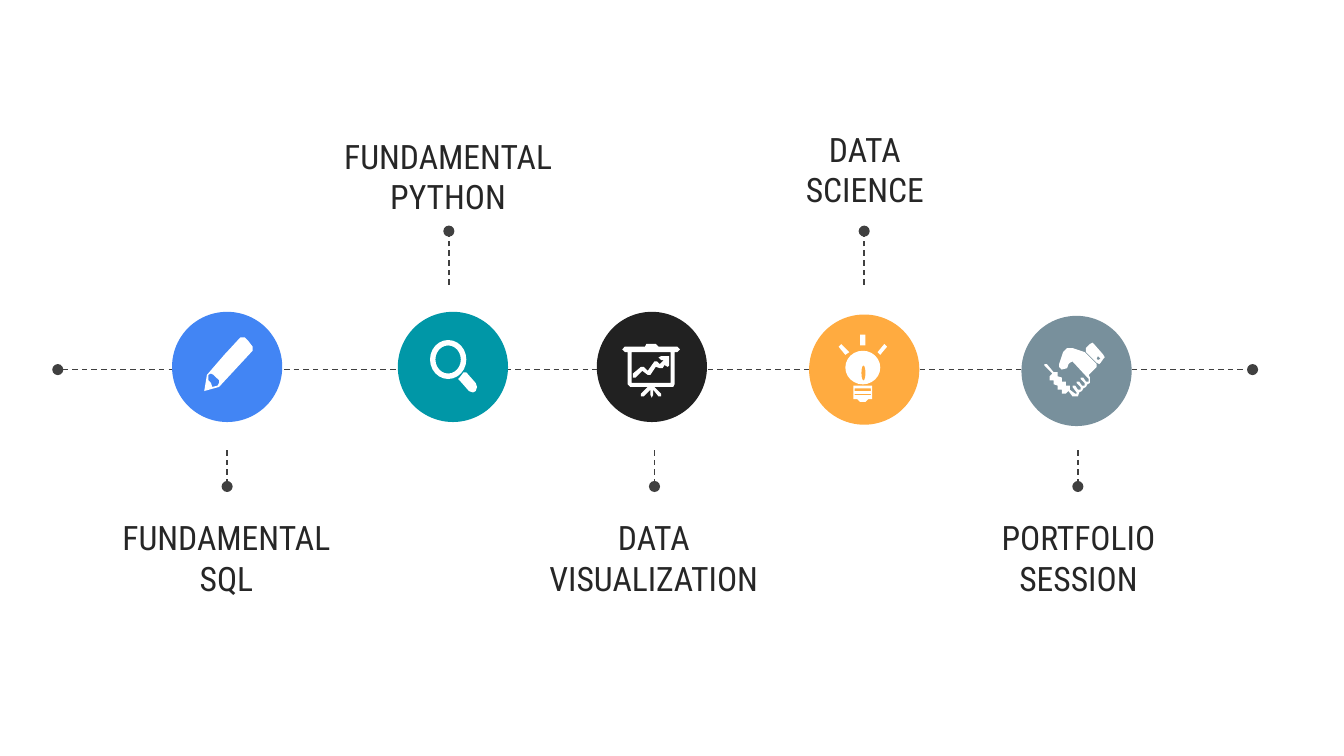
"""Build a five-step learning timeline slide with icon badges."""
from lxml.etree import SubElement
from pptx import Presentation
from pptx.dml.color import RGBColor
from pptx.enum.dml import MSO_LINE
from pptx.enum.shapes import MSO_CONNECTOR, MSO_SHAPE
from pptx.enum.text import MSO_AUTO_SIZE, PP_ALIGN
from pptx.oxml.ns import qn
from pptx.util import Inches, Pt

COLORS = {
    "blue": "4285F4", "teal": "0097A7", "black": "212121", "orange": "FFAB40",
    "slate": "78909C", "white": "FFFFFF", "line": "404040", "text": "262626",
}

STEPS = [
    ("FUNDAMENTAL", "SQL", "blue", 1.28, 2.32, 1.69, 0.32, 3.8),
    ("FUNDAMENTAL", "PYTHON", "teal", 2.96, 2.32, 3.34, 1.97, 0.96),
    ("DATA", "VISUALIZATION", "black", 4.44, 2.32, 4.87, 3.5, 3.8),
    ("DATA", "SCIENCE", "orange", 6.02, 2.34, 6.43, 5.07, 0.91),
    ("PORTFOLIO", "SESSION", "slate", 7.6, 2.35, 8.02, 6.66, 3.8),
]

PENCIL = [
    [(179, 251), (182, 251), (185, 254), (188, 258), (188, 261), (163, 288),
     (152, 291), (154, 279), (167, 264)],
    [(162, 287), (158, 288), (157, 285), (155, 283), (155, 279), (157, 278),
     (159, 279), (161, 281), (163, 283), (163, 285)],
]
HANDLE = [
    [(352, 292), (354, 291), (355, 288), (354, 285), (347, 277), (345, 277),
     (342, 281), (341, 282), (342, 283), (349, 291)],
]
BOARD = [
    [(504, 258), (490, 258), (488, 256), (481, 256), (480, 258), (465, 258),
     (463, 260), (465, 262), (467, 262), (467, 286), (469, 288), (482, 288),
     (477, 293), (477, 295), (479, 295), (484, 290), (484, 294), (485, 296),
     (486, 294), (486, 290), (490, 295), (492, 295), (492, 293), (487, 288),
     (501, 288), (502, 286), (502, 262), (504, 262), (506, 260)],
    [(499, 285), (470, 285), (470, 262), (499, 262)],
]
TREND = [
    [(472, 281), (473, 281), (478, 276), (482, 279), (484, 279), (488, 273),
     (491, 274), (493, 274), (495, 271), (495, 272), (497, 273), (498, 272),
     (498, 265), (492, 265), (490, 266), (492, 268), (494, 268), (491, 271),
     (489, 269), (487, 269), (482, 276), (479, 273), (477, 273), (471, 278),
     (471, 281)],
]
SOCKET = [
    [(635, 287), (649, 287), (649, 297), (646, 297), (644, 299), (640, 299),
     (638, 297), (635, 297)],
    [(636, 289), (648, 289), (648, 291), (636, 291)],
    [(636, 293), (648, 293), (648, 294), (636, 294)],
]
RAYS = [
    [(640, 249), (644, 249), (644, 257), (640, 257)],
    [(624, 258), (626, 256), (632, 262), (629, 264)],
    [(653, 262), (658, 256), (660, 258), (655, 264)],
]
HANDS = [
    [(807, 262), (798, 259), (794, 259), (791, 262), (788, 271), (788, 273),
     (790, 275), (794, 274), (795, 271), (796, 270), (798, 269), (810, 282),
     (810, 284), (808, 284), (806, 281), (804, 281), (804, 282), (807, 285),
     (807, 287), (805, 287), (803, 284), (801, 284), (801, 285), (804, 288),
     (804, 290), (802, 290), (800, 287), (798, 287), (798, 288), (801, 292),
     (801, 293), (800, 293), (796, 290), (796, 287), (793, 287), (793, 284),
     (790, 284), (790, 281), (787, 280), (787, 277), (784, 277), (779, 271),
     (777, 271), (777, 272), (783, 278), (781, 280), (781, 283), (784, 283),
     (784, 286), (787, 287), (787, 290), (790, 290), (790, 293), (793, 293),
     (795, 291), (798, 295), (802, 295), (803, 292), (805, 291), (806, 289),
     (808, 288), (809, 286), (811, 285), (811, 281), (810, 279), (816, 273),
     (816, 271)],
]
CUFF = [
    [(821, 264), (814, 256), (813, 255), (811, 256), (808, 259), (808, 262),
     (816, 270), (818, 271), (819, 270), (821, 267), (822, 266)],
    [(817, 268), (816, 267), (817, 265), (819, 267)],
]
OUTLINES = {
    "blue": [PENCIL], "teal": [HANDLE], "black": [BOARD, TREND],
    "orange": [SOCKET, RAYS], "slate": [HANDS, CUFF],
}
OVALS = {
    "teal": [(MSO_SHAPE.DONUT, 3.2, 2.53, 0.27, 0.29, "white")],
    "orange": [(MSO_SHAPE.OVAL, 6.29, 2.61, 0.26, 0.25, "white"),
               (MSO_SHAPE.OVAL, 6.41, 2.72, 0.03, 0.11, "orange")],
}


def paint(sp, color):
    sp.shadow.inherit = False
    sp.fill.solid()
    sp.fill.fore_color.rgb = RGBColor.from_string(COLORS[color])
    sp.line.fill.background()


def add_dashed_line(x1, y1, x2, y2, ends):
    line = s.shapes.add_connector(
        MSO_CONNECTOR.STRAIGHT, Inches(x1), Inches(y1), Inches(x2), Inches(y2))
    line.line.color.rgb = RGBColor.from_string(COLORS["line"])
    line.line.width = Pt(0.75)
    line.line.dash_style = MSO_LINE.DASH
    for end in ends:
        SubElement(line.line._get_or_add_ln(), qn(f"a:{end}"), type="oval")
    SubElement(line._element.spPr, qn("a:effectLst"))


prs = Presentation()
prs.slide_width = Inches(10)
prs.slide_height = Inches(10) * 9 // 16
s = prs.slides.add_slide(prs.slide_layouts[6])

add_dashed_line(0.43, 2.75, 9.32, 2.75, ["headEnd", "tailEnd"])

for i, (top_word, bottom_word, color, x, y, stem_x, text_x, text_y) in enumerate(STEPS):
    badge = s.shapes.add_group_shape().shapes
    sp = badge.add_shape(MSO_SHAPE.OVAL, Inches(x), Inches(y), Inches(0.82), Inches(0.82))
    paint(sp, color)
    for kind, left, top, width, height, fill in OVALS.get(color, []):
        sp = badge.add_shape(kind, Inches(left), Inches(top), Inches(width), Inches(height))
        paint(sp, fill)
        if kind == MSO_SHAPE.DONUT:
            sp.adjustments[0] = 0.15
    for contours in OUTLINES[color]:
        builder = badge.build_freeform(*contours[0][0], scale=Inches(0.01))
        builder.add_line_segments(contours[0][1:])
        for contour in contours[1:]:
            builder.move_to(*contour[0])
            builder.add_line_segments(contour[1:])
        paint(builder.convert_to_shape(), "white")

    stem_start, stem_end = (2.12, 1.72) if i % 2 else (3.35, 3.62)
    add_dashed_line(stem_x, stem_start, stem_x, stem_end, ["tailEnd"])

    label = s.shapes.add_textbox(Inches(text_x), Inches(text_y), Inches(2.73), Inches(0.71))
    tf = label.text_frame
    tf.word_wrap = True
    tf.auto_size = MSO_AUTO_SIZE.SHAPE_TO_FIT_TEXT
    for p, word in zip((tf.paragraphs[0], tf.add_paragraph()), (top_word, bottom_word)):
        p.alignment = PP_ALIGN.CENTER
        r = p.add_run()
        r.text = word
        r.font.name = "Roboto Condensed"
        r.font.size = Pt(18)
        r.font.color.rgb = RGBColor.from_string(COLORS["text"])

prs.save("out.pptx")
